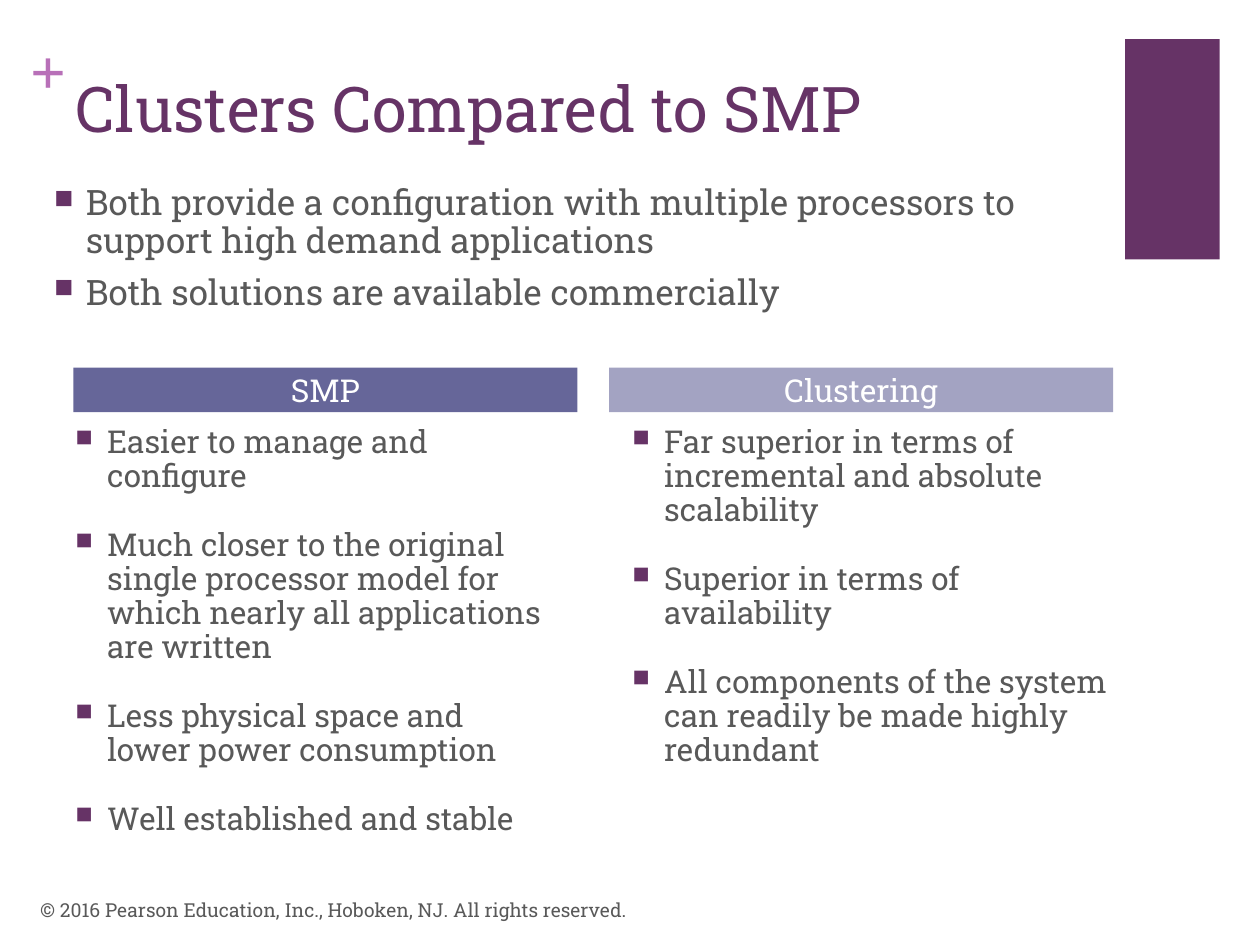
"""Build the slide comparing clusters with SMP."""
from lxml import etree
from pptx import Presentation
from pptx.dml.color import RGBColor as RGB
from pptx.enum.shapes import MSO_SHAPE as SHAPE
from pptx.enum.text import MSO_ANCHOR as ANCHOR, PP_ALIGN as ALIGN
from pptx.oxml.ns import qn
from pptx.util import Cm, Pt

COLORS = {"purple": "663366", "plus": "B870B8", "text": "595959",
          "smp": "666699", "cluster": "A3A3C2", "white": "FFFFFF"}
FONT = "Roboto Slab"


def add_text(tf, lines, size, color, font=FONT, gap=None, bold=False):
    tf.word_wrap = True
    for i, line in enumerate(lines):
        p = tf.paragraphs[0] if i == 0 else tf.add_paragraph()
        if gap is not None:
            pPr = p._p.get_or_add_pPr()
            pPr.set("marL", str(Cm(0.64)))
            pPr.set("indent", str(-Cm(0.64)))
            clr = etree.SubElement(pPr, qn("a:buClr"))
            etree.SubElement(clr, qn("a:srgbClr"), val=COLORS["purple"])
            etree.SubElement(pPr, qn("a:buSzPct"), val="75000")
            etree.SubElement(pPr, qn("a:buChar"), char="■")
            p.line_spacing = 0.9
            p.space_before = Pt(gap if i else 0)
        r = p.add_run()
        r.text = line
        r.font.name = font
        r.font.size = Pt(size)
        r.font.bold = bold
        r.font.color.rgb = RGB.from_string(COLORS[color])


def add_rect(s, left, top, width, height, color):
    sp = s.shapes.add_shape(SHAPE.RECTANGLE, Cm(left), Cm(top), Cm(width), Cm(height))
    sp.shadow.inherit = False
    sp.fill.solid()
    sp.fill.fore_color.rgb = RGB.from_string(COLORS[color])
    sp.line.fill.background()
    return sp


prs = Presentation()
prs.slide_width, prs.slide_height = Cm(25.4), Cm(19.05)
s = prs.slides.add_slide(prs.slide_layouts[6])

add_rect(s, 22.68, 0.79, 1.91, 4.44, "purple")

tf = s.shapes.add_textbox(Cm(0.61), Cm(0.64), Cm(0.74), Cm(1.55)).text_frame
tf.margin_left = tf.margin_top = tf.margin_right = tf.margin_bottom = 0
add_text(tf, ["+"], 36, "plus", font="Times New Roman", bold=True)

tf = s.shapes.add_textbox(Cm(1.27), Cm(1.27), Cm(20.98), Cm(2.03)).text_frame
add_text(tf, ["Clusters Compared to SMP"], 36, "purple")

tf = s.shapes.add_textbox(Cm(0.84), Cm(3.61), Cm(21.03), Cm(3.89)).text_frame
add_text(tf, [
    "Both provide a configuration with multiple processors to support high demand applications",
    "Both solutions are available commercially",
], 20, "text", gap=8)

columns = [
    ("SMP", "smp", 1.48, 1.27, [
        "Easier to manage and configure",
        "Much closer to the original single processor model for which nearly all applications are written",
        "Less physical space and lower power consumption",
        "Well established and stable",
    ]),
    ("Clustering", "cluster", 12.28, 12.5, [
        "Far superior in terms of incremental and absolute scalability",
        "Superior in terms of availability",
        "All components of the system can readily be made highly redundant",
    ]),
]
for heading, color, head_left, body_left, points in columns:
    tf = s.shapes.add_textbox(Cm(body_left), Cm(8.46), Cm(10.16), Cm(10.21)).text_frame
    add_text(tf, points, 18, "text", gap=20)
    tf = add_rect(s, head_left, 7.41, 10.16, 0.9, color).text_frame
    tf.margin_top = tf.margin_bottom = 0
    tf.vertical_anchor = ANCHOR.MIDDLE
    add_text(tf, [heading], 18, "white")
    tf.paragraphs[0].alignment = ALIGN.CENTER

tf = s.shapes.add_textbox(Cm(0.56), Cm(17.83), Cm(17.02), Cm(1.02)).text_frame
tf.vertical_anchor = ANCHOR.MIDDLE
add_text(tf, ["© 2016 Pearson Education, Inc., Hoboken, NJ. All rights reserved."], 11, "text")

prs.save("out.pptx")
